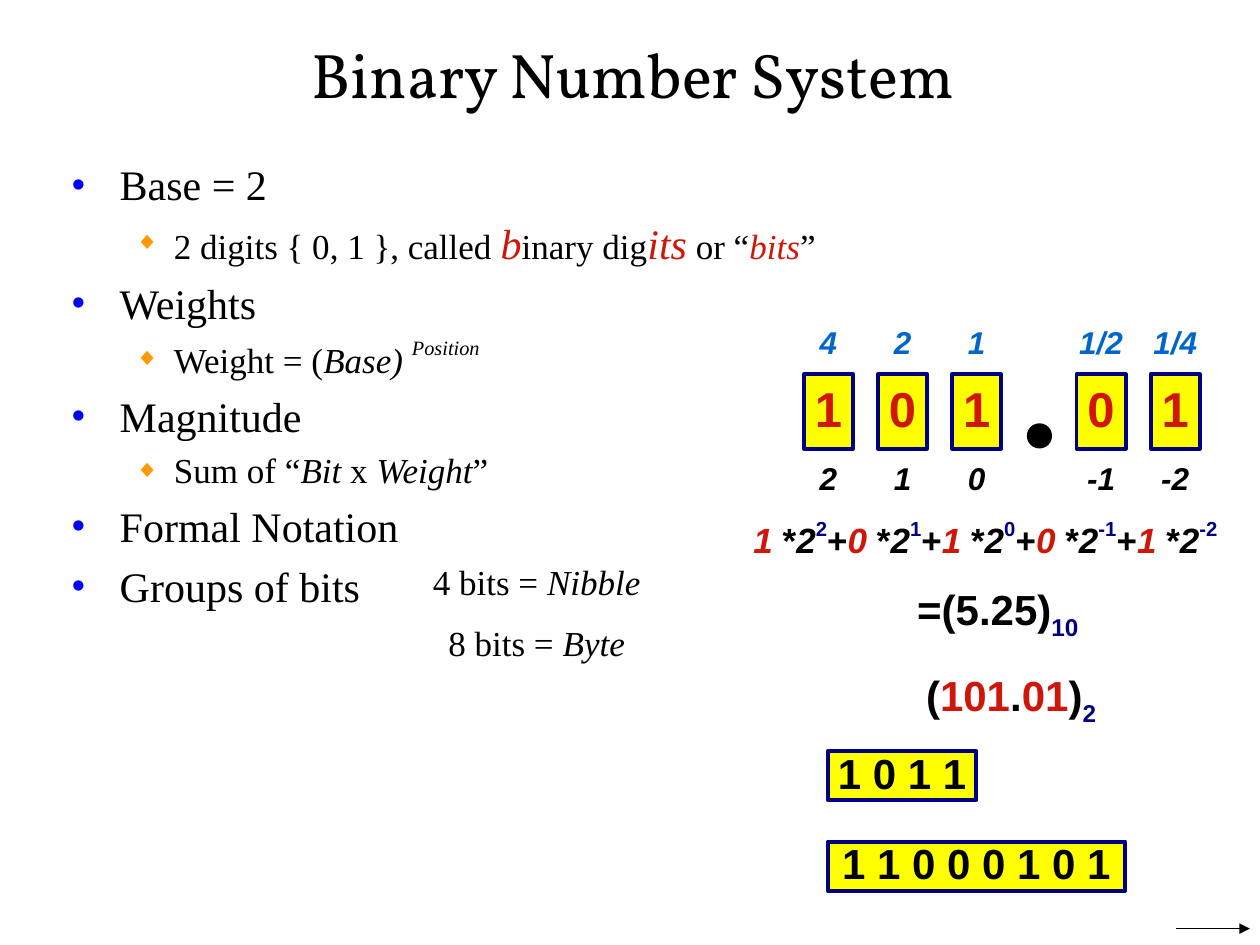
from dataclasses import dataclass
from typing import Any

from lxml import etree
from pptx import Presentation
from pptx import util as u
from pptx.dml.color import RGBColor
from pptx.enum import shapes, text
from pptx.oxml import ns

COLUMNS, ROWS = 100, 75
BLACK, RED, NAVY, BLUE, YELLOW = "000000", "D01608", "000082", "0066CC", "FFFF00"
SERIF, SANS = "Times New Roman", "Arial"
CENTER, LEFT = text.PP_ALIGN.CENTER, text.PP_ALIGN.LEFT
TOP, MIDDLE = text.MSO_ANCHOR.TOP, text.MSO_ANCHOR.MIDDLE

deck = Presentation()
deck.slide_width, deck.slide_height = u.Inches(10), u.Inches(7.5)
page = deck.slides.add_slide(deck.slide_layouts[1])


@dataclass
class Area:
    column: float
    row: float
    columns: float
    rows: float

    def lengths(self) -> list[int]:
        across, down = deck.slide_width / COLUMNS, deck.slide_height / ROWS
        return [round(self.column * across), round(self.row * down),
                round(self.columns * across), round(self.rows * down)]


@dataclass
class Span:
    words: str
    format: dict[str, Any]


@dataclass
class Bullet:
    symbol: str
    color: str
    percent: int
    margin: float
    hanging: float
    size: float
    before: float


@dataclass
class Digit:
    column: float
    value: str
    weight: str
    position: str


def span(words: str, **format: Any) -> Span:
    return Span(words, format)


def color(value: str) -> RGBColor:
    return RGBColor.from_string(value)


def write(para: Any, spans: list[Span], **shared: Any) -> None:
    for item in spans:
        style = {"size": 20, "face": SANS, "ink": BLACK, "bold": False,
                 "italic": False, "raised": 0} | shared | item.format
        run = para.add_run()
        run.text = item.words
        run.font.size, run.font.name = u.Pt(style["size"]), style["face"]
        run.font.bold, run.font.italic = style["bold"], style["italic"]
        run.font.color.rgb = color(style["ink"])
        if style["raised"]:
            run._r.get_or_add_rPr().set("baseline", str(style["raised"] * 1000))


def prepare(box: Any, anchor: Any = TOP) -> Any:
    frame = box.text_frame
    frame.word_wrap, frame.vertical_anchor = True, anchor
    frame.auto_size = text.MSO_AUTO_SIZE.NONE
    frame.margin_left = frame.margin_right = frame.margin_top = frame.margin_bottom = 0
    return frame


def fill_frame(frame: Any, lines: list[list[Span]], align: Any = CENTER,
               spacing: float = 0.9, before: float = 0, **shared: Any) -> None:
    for index, spans in enumerate(lines):
        para = frame.add_paragraph() if index else frame.paragraphs[0]
        para.alignment, para.line_spacing = align, spacing
        if index:
            para.space_before = u.Pt(before)
        write(para, spans, **shared)


def add_label(area: Area, lines: list[list[Span]], **format: Any) -> Any:
    frame = prepare(page.shapes.add_textbox(*area.lengths()))
    fill_frame(frame, lines, **format)
    return frame


def add_cell(area: Area, words: str, **format: Any) -> None:
    box = page.shapes.add_shape(shapes.MSO_SHAPE.RECTANGLE, *area.lengths())
    box.shadow.inherit = False
    box.fill.solid()
    box.fill.fore_color.rgb = color(YELLOW)
    box.line.color.rgb, box.line.width = color(NAVY), u.Pt(2.25)
    fill_frame(prepare(box, MIDDLE), [[span(words)]], bold=True, **format)


def set_bullet(para: Any, bullet: Bullet) -> None:
    props = para._p.get_or_add_pPr()
    props.set("marL", str(u.Inches(bullet.margin)))
    props.set("indent", str(-u.Inches(bullet.hanging)))
    tint = etree.SubElement(props, ns.qn("a:buClr"))
    etree.SubElement(tint, ns.qn("a:srgbClr"), val=bullet.color)
    etree.SubElement(props, ns.qn("a:buSzPct"), val=str(bullet.percent * 1000))
    etree.SubElement(props, ns.qn("a:buChar"), char=bullet.symbol)


def place(box: Any, area: Area) -> None:
    box.left, box.top, box.width, box.height = area.lengths()


def add_arrow(column: float, row: float, columns: float) -> None:
    left, top, width, _ = Area(column, row, columns, 0).lengths()
    arrow = page.shapes.add_connector(
        shapes.MSO_CONNECTOR.STRAIGHT, left, top, left + width, top)
    arrow.line.color.rgb, arrow.line.width = color(BLACK), u.Pt(0.75)
    etree.SubElement(arrow.line._get_or_add_ln(), ns.qn("a:tailEnd"), type="triangle")
    etree.SubElement(arrow._element.spPr, ns.qn("a:effectLst"))


# Title and outline
title, body = page.placeholders[0], page.placeholders[1]
place(title, Area(3.3, 2.5, 93.8, 6.7))
fill_frame(prepare(title, MIDDLE), [[span("Binary Number System")]],
           spacing=1, size=36, face="Vollkorn")

BULLETS = [Bullet("•", "0000FF", 90, 0.38, 0.38, 24, 5.5),
           Bullet("◆", "FF9900", 70, 0.81, 0.31, 20, 4.6)]
big = {"size": 24, "ink": RED, "italic": True}
outline = [
    (0, [span("Base = 2")]),
    (1, [span("2 digits { 0, 1 }, called "), span("b", **big), span("inary dig"),
         span("its", **big), span(" or “"), span("bits", ink=RED, italic=True),
         span("”")]),
    (0, [span("Weights")]),
    (1, [span("Weight = ("), span("Base) ", italic=True),
         span("Position", italic=True, raised=50)]),
    (0, [span("Magnitude")]),
    (1, [span("Sum of “"), span("Bit", italic=True), span(" x "),
         span("Weight", italic=True), span("”")]),
    (0, [span("Formal Notation")]),
    (0, [span("Groups of bits")]),
]
place(body, Area(5.7, 12.6, 88.6, 58.6))
body_frame = prepare(body)
for index, (level, spans) in enumerate(outline):
    para = body_frame.add_paragraph() if index else body_frame.paragraphs[0]
    para.level = level
    set_bullet(para, BULLETS[level])
    para.space_before = u.Pt(BULLETS[level].before if index else 0)
    write(para, spans, size=BULLETS[level].size, face=SERIF)

add_label(Area(32.6, 44.5, 20, 8),
          [[span("4 bits = "), span("Nibble", italic=True)],
           [span("8 bits = "), span("Byte", italic=True)]],
          spacing=1, before=10.6, face=SERIF)

# Digits with their weights above and positions below
FIRST, PITCH, CELL, GAP = 63.8, 5.88, 3.9, 2
digits = [Digit(0, "1", "4", "2"), Digit(1, "0", "2", "1"), Digit(2, "1", "1", "0"),
          Digit(3.68, "0", "1/2", "-1"), Digit(4.68, "1", "1/4", "-2")]
for digit in digits:
    left = FIRST + digit.column * PITCH
    add_cell(Area(left, 29.7, CELL, 5.9), digit.value, size=28, ink=RED)
    for words, row, ink in ((digit.weight, 26, BLUE), (digit.position, 36.8, BLACK)):
        add_label(Area(left - GAP / 2, row, CELL + GAP, 2.7), [[span(words)]],
                  size=18, ink=ink, bold=True, italic=True)

point = page.shapes.add_shape(shapes.MSO_SHAPE.OVAL, *Area(81.5, 33.6, 2, 2).lengths())
point.shadow.inherit = False
point.fill.solid()
point.fill.fore_color.rgb = color(BLACK)
point.line.fill.background()

# Expansion, value and notation
expansion = []
for digit in digits:
    if expansion:
        expansion.append(span("+"))
    expansion += [span(digit.value + " ", ink=RED, italic=True), span("*"),
                  span("2", italic=True), span(digit.position, ink=NAVY, raised=50)]
value = [span("=(5.25)", size=24), span("10", size=24, ink=NAVY, raised=-25)]
formula = add_label(Area(59.8, 41.4, 39, 8.6), [expansion, value],
                    align=LEFT, before=13, bold=True)
formula.paragraphs[1]._p.get_or_add_pPr().set("marL", str(u.Inches(1.3)))

add_label(Area(73.5, 53.2, 20, 3.6),
          [[span("("), span("101", ink=RED), span("."), span("01", ink=RED),
            span(")"), span("2", ink=NAVY, raised=-25)]],
          align=LEFT, size=24, bold=True)

# Nibble and byte
for words, row, columns in (("1 0 1 1", 59.6, 11.8), ("1 1 0 0 0 1 0 1", 66.8, 23.6)):
    add_cell(Area(65.7, row, columns, 3.9), words, size=24)

add_arrow(93.3, 73.7, 5.9)

deck.save("out.pptx")
